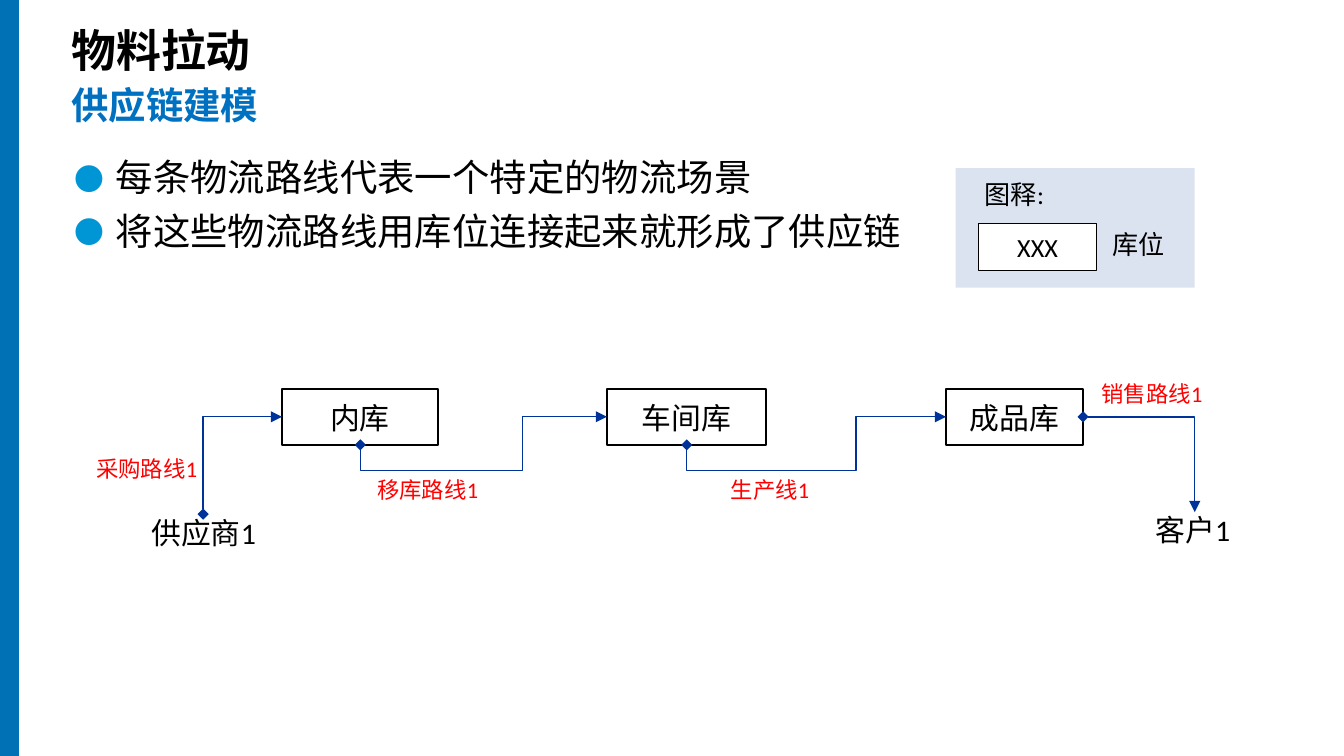
from dataclasses import dataclass
from lxml.etree import SubElement
from pptx import Presentation
from pptx.dml.color import RGBColor
from pptx.enum.shapes import MSO_CONNECTOR, MSO_SHAPE
from pptx.enum.text import MSO_ANCHOR, MSO_AUTO_SIZE, PP_ALIGN
from pptx.oxml.ns import qn
from pptx.util import Cm, Pt


@dataclass(frozen=True)
class Theme:
    black: str = "000000"
    white: str = "FFFFFF"
    blue: str = "0071B4"
    sub: str = "0070C0"
    dot: str = "0096D6"
    navy: str = "003399"
    red: str = "FF0000"
    head: int = 24
    body: int = 20
    node: int = 16
    key: int = 14
    tag: int = 12
    cjk: str = "Noto Sans CJK SC"
    latin: str = "Calibri"


T = Theme()


def rgb(code):
    return RGBColor.from_string(code)


def add(parent, tag, **attrs):
    return SubElement(parent, qn(tag), {k: str(v) for k, v in attrs.items()})


def write(para, text, size, color=T.black, face=T.latin, bold=False):
    run = para.add_run()
    run.text = text
    font = run.font
    font.size, font.bold, font.name = Pt(size), bold, face
    font.color.rgb = rgb(color)
    add(font._element, "a:ea", typeface=T.cjk)


def frame(shape, side=0.0, anchor=MSO_ANCHOR.TOP, wrap=True):
    text = shape.text_frame
    text.margin_left = text.margin_right = Cm(side)
    text.margin_top = text.margin_bottom = 0
    text.vertical_anchor = anchor
    text.word_wrap = wrap
    return text


def block(slide, x, y, w, h):
    return slide.shapes.add_textbox(Cm(x), Cm(y), Cm(w), Cm(h))


def label(slide, text, x, y, w, h, size, color=T.black, align=PP_ALIGN.LEFT):
    box = frame(block(slide, x, y, w, h), 0.25, wrap=False)
    box.auto_size = MSO_AUTO_SIZE.SHAPE_TO_FIT_TEXT
    para = box.paragraphs[0]
    para.alignment = align
    write(para, text, size, color)


def panel(slide, x, y, w, h, color, alpha=None):
    shape = slide.shapes.add_shape(MSO_SHAPE.RECTANGLE, Cm(x), Cm(y), Cm(w), Cm(h))
    shape.shadow.inherit = False
    shape.fill.solid()
    shape.fill.fore_color.rgb = rgb(color)
    shape.line.fill.background()
    if alpha:
        add(shape._element.spPr.find(qn("a:solidFill"))[0], "a:alpha", val=alpha * 1000)
    return shape


def store(slide, text, x, y, w, h, size, width=1.0):
    shape = panel(slide, x, y, w, h, T.white)
    shape.line.color.rgb = rgb(T.black)
    shape.line.width = Pt(width)
    para = frame(shape, 0.25, MSO_ANCHOR.MIDDLE, False).paragraphs[0]
    para.alignment = PP_ALIGN.CENTER
    write(para, text, size)


def route(slide, start, end, bend=None):
    (ax, ay), (bx, by) = start, end
    line = slide.shapes.add_connector(MSO_CONNECTOR.ELBOW, Cm(ax), Cm(ay), Cm(bx), Cm(by))
    line.line.color.rgb = rgb(T.navy)
    line.line.width = Pt(0.75)
    props = line._element.spPr
    if by < ay:
        rise, run = ay - by, bx - ax
        line.left, line.top = Cm((ax + bx - rise) / 2), Cm((ay + by - run) / 2)
        line.width, line.height = Cm(rise), Cm(run)
        xfrm = props.find(qn("a:xfrm"))
        for key, val in (("rot", "5400000"), ("flipH", "1"), ("flipV", "1")):
            xfrm.set(key, val)
    geom = props.find(qn("a:prstGeom"))
    geom.set("prst", "bentConnector4" if bend else "bentConnector2")
    if bend:
        ratios = ((ay - bend[1]) / (ay - by), (bend[0] - ax) / (bx - ax))
        for num, val in enumerate(ratios, 1):
            add(geom.find(qn("a:avLst")), "a:gd", name=f"adj{num}", fmla=f"val {round(val * 100000)}")
    stroke = props.find(qn("a:ln"))
    add(stroke, "a:headEnd", type="diamond")
    add(stroke, "a:tailEnd", type="triangle")
    add(props, "a:effectLst")


def bullet(para, text):
    write(para, text, T.body, face=T.cjk)
    props = para._p.get_or_add_pPr()
    props.set("marL", str(Cm(0.79)))
    props.set("indent", str(-Cm(0.79)))
    for tag, val in (("a:lnSpc", 90), ("a:spcBef", 25), ("a:spcAft", 10)):
        add(add(props, tag), "a:spcPct", val=val * 1000)
    add(add(props, "a:buClr"), "a:srgbClr", val=T.dot)
    add(props, "a:buSzPct", val=80000)
    add(props, "a:buFont", typeface=T.cjk)
    add(props, "a:buChar", char="●")


def heads(slide):
    title = slide.shapes.title
    title.left, title.top, title.width, title.height = Cm(1.35), Cm(0.36), Cm(23.2), Cm(1.14)
    para = frame(title, anchor=MSO_ANCHOR.MIDDLE).paragraphs[0]
    para.alignment = PP_ALIGN.LEFT
    write(para, "物料拉动", T.head, face=T.cjk, bold=True)
    sub = frame(block(slide, 1.35, 1.52, 23.2, 0.91), anchor=MSO_ANCHOR.MIDDLE)
    write(sub.paragraphs[0], "供应链建模", T.body, T.sub, T.cjk, True)


def points(slide):
    body = frame(block(slide, 1.4, 3.02, 23.04, 10.03))
    bullet(body.paragraphs[0], "每条物流路线代表一个特定的物流场景")
    bullet(body.add_paragraph(), "将这些物流路线用库位连接起来就形成了供应链")


def chain(slide):
    top, high, mid, low = 7.36, 1.05, 7.88, 8.89
    for text, x, w in (("内库", 5.33, 2.95), ("车间库", 11.47, 3.01), ("成品库", 17.88, 2.59)):
        store(slide, text, x, top, w, high, T.node)
    foot = top + high
    route(slide, (6.81, foot), (11.47, mid), (9.88, low))
    route(slide, (12.98, foot), (17.88, mid), (16.18, low))
    route(slide, (3.84, 9.72), (5.33, mid))
    route(slide, (20.47, mid), (22.58, 9.68))
    for text, x, y, w in (("生产线1", 13.56, 9.01, 2.03), ("移库路线1", 6.88, 9.01, 2.44),
                          ("销售路线1", 20.57, 7.19, 2.44), ("采购路线1", 1.57, 8.6, 2.44)):
        label(slide, text, x, y, w, 0.51, T.tag, T.red)
    label(slide, "客户1", 21.59, 9.68, 1.96, 0.69, T.node)
    label(slide, "供应商1", 2.58, 9.72, 2.54, 0.69, T.node, align=PP_ALIGN.CENTER)


def legend(slide):
    panel(slide, 18.06, 3.18, 4.52, 2.26, T.navy, 14)
    store(slide, "XXX", 18.49, 4.23, 2.24, 0.89, T.key, 0.75)
    label(slide, "库位", 20.77, 4.32, 1.5, 0.61, T.key)
    label(slide, "图释:", 18.36, 3.38, 1.65, 0.61, T.key)


def main():
    deck = Presentation()
    deck.slide_width, deck.slide_height = Cm(25.4), Cm(14.29)
    slide = deck.slides.add_slide(deck.slide_layouts[5])
    panel(slide, 0, 0, 0.36, 14.29, T.blue)
    heads(slide)
    points(slide)
    chain(slide)
    legend(slide)
    deck.save("out.pptx")


main()
